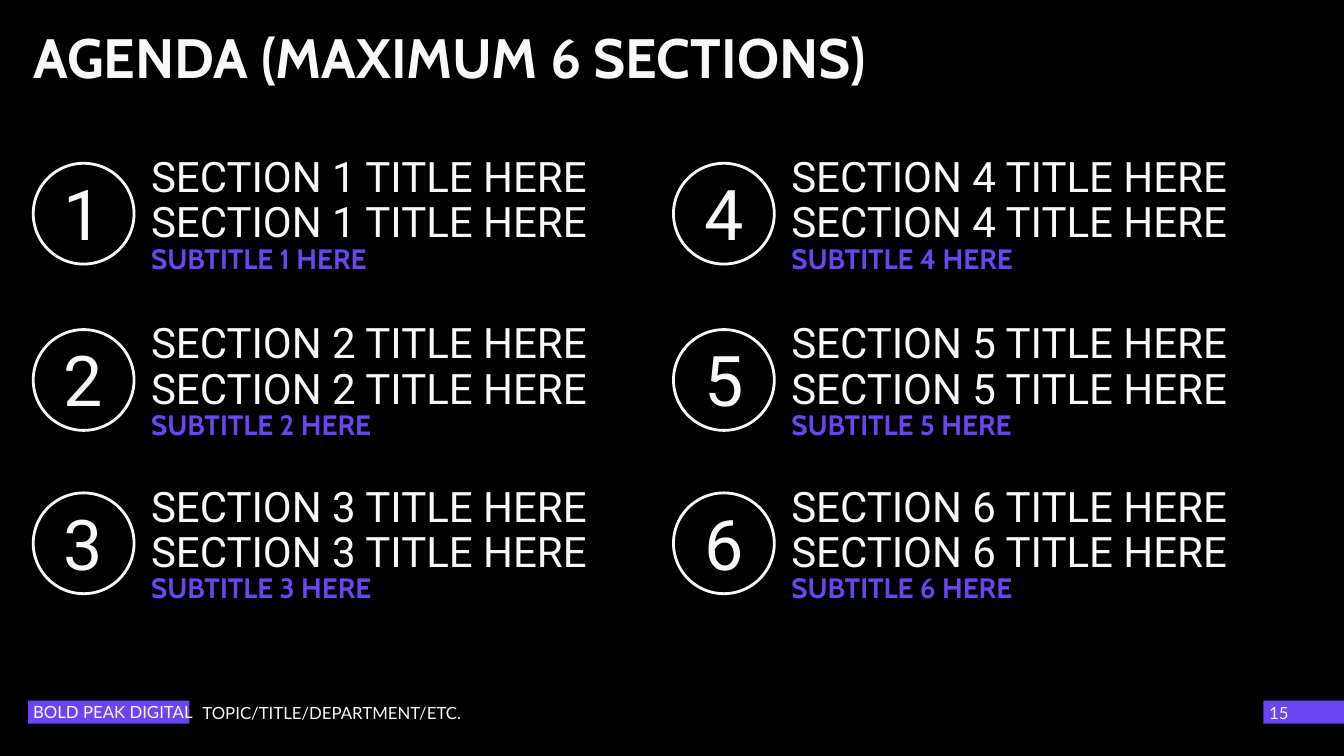
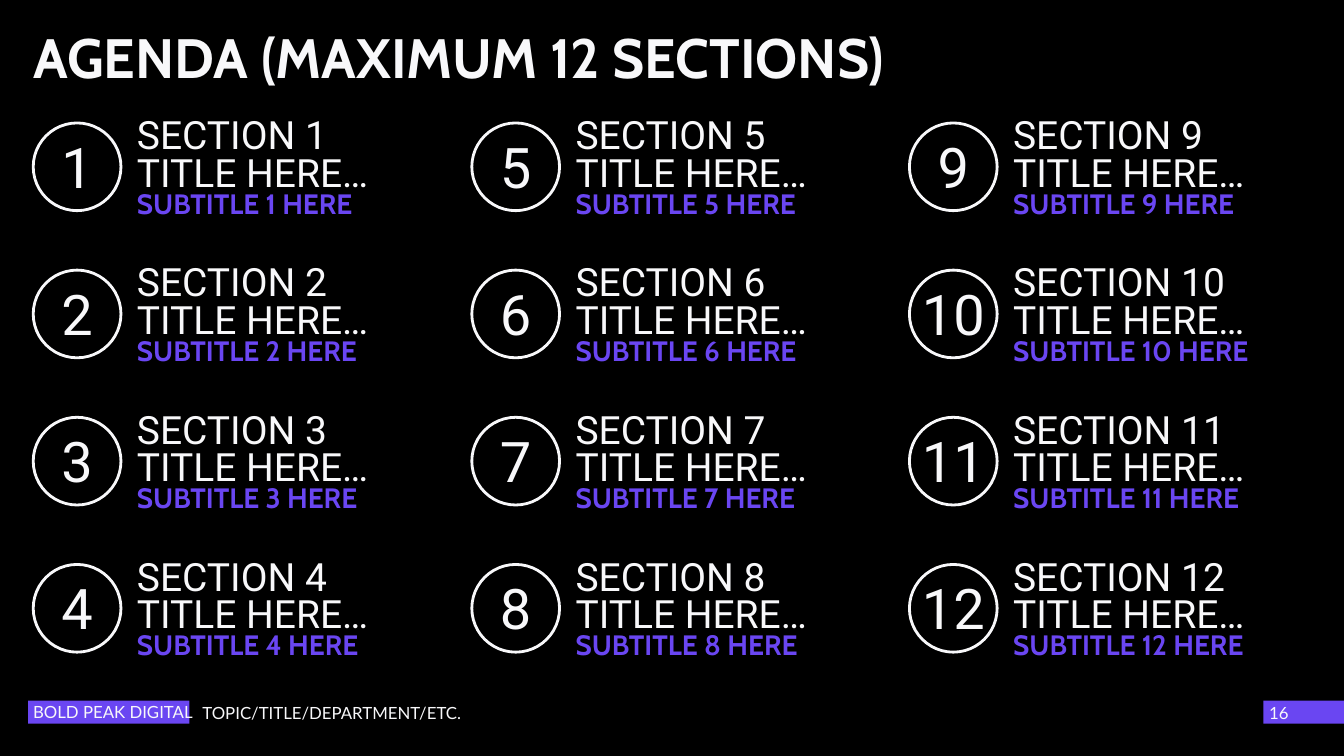
from dataclasses import dataclass

from pptx import Presentation
from pptx.dml.color import RGBColor
from pptx.enum.shapes import MSO_SHAPE as Preset
from pptx.enum.text import MSO_ANCHOR as Anchor, PP_ALIGN as Align
from pptx.util import Emu, Pt

PX = 9144  # EMU per px, 100 px to the inch
COLORS = {"back": "000000", "text": "F8F8FA", "accent": "6A46F2"}


def px(*lengths):
    return [Emu(length * PX) for length in lengths]


def color(name):
    return RGBColor.from_string(COLORS[name])


@dataclass
class AgendaStyle:
    """Sizes of one agenda entry; tops are measured from the circle's top."""
    diameter: int
    number_top: int
    number_size: float
    text_left: int
    title_top: int
    title_width: int
    title_size: float
    subtitle_top: int
    subtitle_width: int
    subtitle_height: int
    spacing: float


LARGE = AgendaStyle(100, 8, 50, 107, -12, 477, 30, 72, 351, 44, 0.9)
SMALL = AgendaStyle(87, 7, 40, 93, -11, 282, 27.8, 62, 282, 39, 0.8)


class AgendaDeck:
    def __init__(self):
        self.deck = Presentation()
        self.deck.slide_width, self.deck.slide_height = px(1333, 750)
        self.page = None

    def start_page(self, title, number):
        self.page = self.deck.slides.add_slide(self.deck.slide_layouts[6])
        fill = self.page.background.fill
        fill.solid()
        fill.fore_color.rgb = color("back")
        self.text((23, 25, 1132, 67), title, 39.6, "Cabin", bold=True, spacing=0.9)
        self.footer(number)

    def footer(self, number):
        for left, width in ((1253, 80), (28, 160)):
            self.shape(Preset.RECTANGLE, (left, 695, width, 23), fill="accent")
        for place, words in (
            ((191, 687, 340, 40), "TOPIC/TITLE/DEPARTMENT/ETC."),
            ((23, 686, 200, 40), "BOLD PEAK DIGITAL"),
            ((1249, 687, 57, 40), str(number)),
        ):
            self.text(place, words, 12, "Lato", anchor=Anchor.MIDDLE)

    def shape(self, preset, place, fill=None, line=None, parent=None):
        shape = (parent or self.page).shapes.add_shape(preset, *px(*place))
        shape.shadow.inherit = False
        if fill:
            shape.fill.solid()
            shape.fill.fore_color.rgb = color(fill)
        else:
            shape.fill.background()
        if line:
            shape.line.color.rgb = color(line)
            shape.line.width = Pt(2)
        else:
            shape.line.fill.background()

    def text(self, place, words, size, font, ink="text", bold=False,
             anchor=Anchor.TOP, align=Align.LEFT, spacing=1.0, parent=None):
        box = (parent or self.page).shapes.add_textbox(*px(*place))
        frame = box.text_frame
        frame.word_wrap = True
        frame.vertical_anchor = anchor
        frame.text = words
        for para in frame.paragraphs:
            para.alignment = align
            para.line_spacing = spacing
            for span in para.runs:
                span.font.name = font
                span.font.size = Pt(size)
                span.font.bold = bold
                span.font.color.rgb = color(ink)

    def entry(self, left, top, number, title, style):
        """Add a group of numbered circle, section title and subtitle."""
        group = self.page.shapes.add_group_shape()
        side = style.diameter
        text_left = left + style.text_left
        self.shape(Preset.OVAL, (left, top, side, side), line="text", parent=group)
        self.text((left, top + style.number_top, side, side - style.number_top),
                  str(number), style.number_size, "Roboto", anchor=Anchor.MIDDLE,
                  align=Align.CENTER, spacing=0.9, parent=group)
        self.text((text_left, top + style.title_top, style.title_width, side),
                  title, style.title_size, "Roboto", anchor=Anchor.BOTTOM,
                  spacing=style.spacing, parent=group)
        self.text((text_left, top + style.subtitle_top,
                   style.subtitle_width, style.subtitle_height),
                  f"SUBTITLE {number} HERE", 20, "Cabin", ink="accent", bold=True,
                  anchor=Anchor.BOTTOM, spacing=style.spacing, parent=group)

    def agenda(self, columns, rows, title, style):
        """Number the entries down each column in turn."""
        places = [(left, top) for left in columns for top in rows]
        for number, (left, top) in enumerate(places, 1):
            self.entry(left, top, number, title.format(number), style)


def main():
    agenda = AgendaDeck()

    agenda.start_page("AGENDA (MAXIMUM 6 SECTIONS)", 15)
    agenda.agenda((33, 668), (162, 327, 489),
                  "SECTION {0} TITLE HERE\nSECTION {0} TITLE HERE", LARGE)

    agenda.start_page("AGENDA (MAXIMUM 12 SECTIONS)", 16)
    agenda.agenda((33, 468, 902), range(122, 561, 146),
                  "SECTION {} TITLE HERE…", SMALL)

    agenda.deck.save("out.pptx")


if __name__ == "__main__":
    main()
